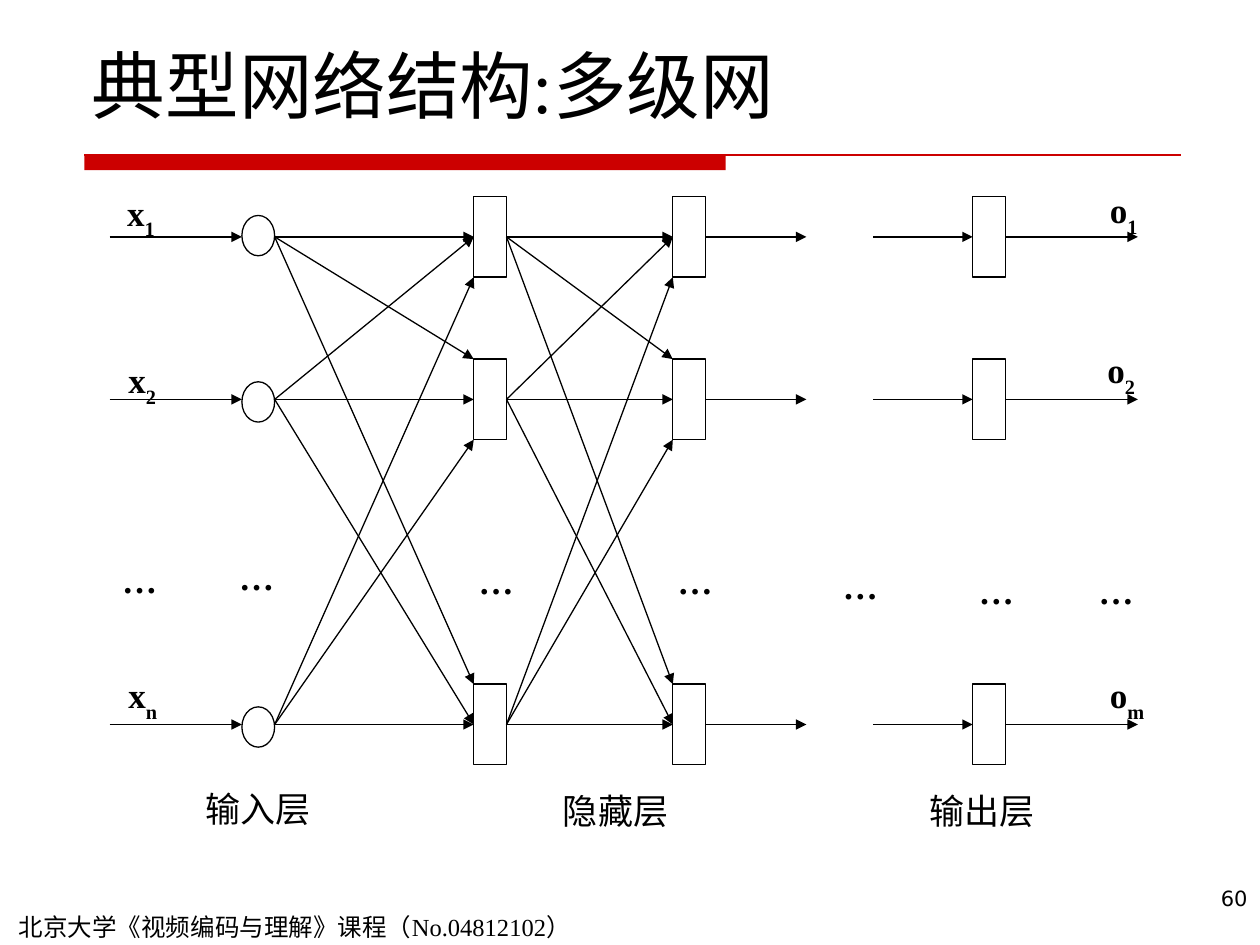
from dataclasses import dataclass
from typing import NamedTuple, Optional

from lxml import etree
from pptx import Presentation
from pptx import util as u
from pptx.dml.color import RGBColor
from pptx.enum import shapes, text
from pptx.oxml.ns import qn

PX = 9144  # EMU per px, at 100 px to the inch
BLACK = RGBColor(0, 0, 0)
WHITE = RGBColor(255, 255, 255)
RED = RGBColor(0xCC, 0, 0)
SERIF, SANS = "Times New Roman", "DejaVu Sans"
LEFT_SIDE, RIGHT_SIDE = 1, 3

NODE_WIDTH, CELL_HEIGHT, INPUT_HEIGHT = 26, 64, 32
ROWS = (188, 317, 575)
INPUT_LEFT, INPUT_TOPS = 192, (171, 303, 561)
HIDDEN_1, HIDDEN_2, OUTPUT = 376, 534, 772


class Point(NamedTuple):
    x: int
    y: int


class Link(NamedTuple):
    """Joins two rows; shift moves the end from the middle of the side to a corner."""
    source: int
    target: int
    shift: int = 0


@dataclass(frozen=True)
class Label:
    words: str
    left: int
    top: int
    width: int
    height: int = 44
    subscript: str = ""
    size: int = 20
    bold: bool = False
    font: str = SERIF
    align: text.PP_ALIGN = text.PP_ALIGN.LEFT
    wrap: bool = False


HALF = CELL_HEIGHT // 2
LINKS = (
    Link(0, 0), Link(1, 1), Link(2, 2),
    Link(0, 1, -HALF), Link(0, 2, -HALF),
    Link(1, 0), Link(1, 2),
    Link(2, 0, HALF), Link(2, 1, HALF),
)

LAYER_NAMES = (
    Label("输出层", 728, 622, 104),
    Label("隐藏层", 437, 622, 104),
    Label("输入层", 153, 620, 104),
)
SIGNALS = tuple(
    Label(name, left, top, width, 50, index, bold=True)
    for name, index, left, top, width in (
        ("o", "1", 871, 145, 42), ("o", "2", 869, 272, 42), ("o", "m", 871, 530, 48),
        ("x", "1", 91, 147, 42), ("x", "2", 92, 280, 42), ("x", "n", 92, 530, 43),
    )
)
ELLIPSES = tuple(
    Label("…", left, top, 48, bold=True)
    for left, top in ((862, 447), (87, 438), (180, 436), (370, 439),
                      (528, 439), (767, 447), (659, 443))
)
FOOTER = Label("北京大学《视频编码与理解》课程（No.04812102）", 5, 719, 495, 34, size=14, wrap=True)
PAGE_NUMBER = Label("60", 786, 698, 214, 52, size=12, font=SANS,
                    align=text.PP_ALIGN.RIGHT, wrap=True)


def format_para(para, size: int, bold: bool, font: str, align: text.PP_ALIGN) -> None:
    para.alignment = align
    para.font.size = u.Pt(size)
    para.font.bold = bold
    para.font.name = font
    para.font.color.rgb = BLACK


def add_label(page, label: Label) -> None:
    box = page.shapes.add_textbox(label.left * PX, label.top * PX,
                                  label.width * PX, label.height * PX)
    box.text_frame.word_wrap = label.wrap
    if not label.wrap:
        box.text_frame.auto_size = text.MSO_AUTO_SIZE.SHAPE_TO_FIT_TEXT
    para = box.text_frame.paragraphs[0]
    para.add_run().text = label.words
    if label.subscript:
        span = para.add_run()
        span.text = label.subscript
        span._r.get_or_add_rPr().set("baseline", "-30000")
    format_para(para, label.size, label.bold, label.font, label.align)


def add_node(page, kind: shapes.MSO_SHAPE, left: int, top: int, height: int):
    node = page.shapes.add_shape(kind, left * PX, top * PX, NODE_WIDTH * PX, height * PX)
    node.shadow.inherit = False
    node.fill.solid()
    node.fill.fore_color.rgb = WHITE
    node.line.color.rgb = BLACK
    node.line.width = u.Pt(0.75)
    return node


def add_cells(page, left: int) -> list:
    return [add_node(page, shapes.MSO_SHAPE.RECTANGLE, left, row - HALF, CELL_HEIGHT)
            for row in ROWS]


def add_line(page, start: Point, end: Point, color: RGBColor):
    line = page.shapes.add_connector(shapes.MSO_CONNECTOR.STRAIGHT, start.x * PX,
                                     start.y * PX, end.x * PX, end.y * PX)
    line.line.color.rgb = color
    line.line.width = u.Pt(0.75)
    etree.SubElement(line._element.spPr, qn("a:effectLst"))
    return line


def add_arrow(page, start: Point, end: Point, source: Optional[object] = None,
              target: Optional[object] = None) -> None:
    """Draws an arrow, joined to the source and target cells where given."""
    arrow = add_line(page, start, end, BLACK)
    etree.SubElement(arrow.line._get_or_add_ln(), qn("a:tailEnd"), type="triangle")
    if source is not None:
        arrow.begin_connect(source, RIGHT_SIDE)
    if target is not None:
        arrow.end_connect(target, LEFT_SIDE)


def add_links(page, start_x: int, end_x: int, targets: list,
              sources: Optional[list] = None) -> None:
    for link in LINKS:
        add_arrow(page, Point(start_x, ROWS[link.source]),
                  Point(end_x, ROWS[link.target] + link.shift),
                  sources[link.source] if sources else None,
                  None if link.shift else targets[link.target])


def add_row_arrows(page, start_x: int, end_x: int, sources: Optional[list] = None,
                   targets: Optional[list] = None) -> None:
    for index, row in enumerate(ROWS):
        add_arrow(page, Point(start_x, row), Point(end_x, row),
                  sources[index] if sources else None,
                  targets[index] if targets else None)


def add_title(page, words: str) -> None:
    title = page.shapes.title
    title.left, title.top, title.width, title.height = (
        side * PX for side in (63, 33, 875, 74))
    title.text_frame.text = words
    title.text_frame.vertical_anchor = text.MSO_ANCHOR.BOTTOM
    format_para(title.text_frame.paragraphs[0], 42, False, SERIF, text.PP_ALIGN.LEFT)


def add_title_rule(page) -> None:
    bar = page.shapes.add_shape(shapes.MSO_SHAPE.RECTANGLE, 67 * PX, 123 * PX,
                                509 * PX, 12 * PX)
    bar.shadow.inherit = False
    bar.fill.solid()
    bar.fill.fore_color.rgb = RED
    bar.line.fill.background()
    add_line(page, Point(67, 123), Point(937, 123), RED)


def add_network(page) -> None:
    for top in INPUT_TOPS:
        add_node(page, shapes.MSO_SHAPE.OVAL, INPUT_LEFT, top, INPUT_HEIGHT)
    first, second, output = (add_cells(page, left) for left in (HIDDEN_1, HIDDEN_2, OUTPUT))
    add_row_arrows(page, 87, INPUT_LEFT)
    add_links(page, INPUT_LEFT + NODE_WIDTH, HIDDEN_1, first)
    add_links(page, HIDDEN_1 + NODE_WIDTH, HIDDEN_2, second, first)
    add_row_arrows(page, HIDDEN_2 + NODE_WIDTH, 640, sources=second)
    add_row_arrows(page, 693, OUTPUT, targets=output)
    add_row_arrows(page, OUTPUT + NODE_WIDTH, 903, sources=output)


def main() -> None:
    deck = Presentation()
    deck.slide_width, deck.slide_height = 1000 * PX, 750 * PX
    page = deck.slides.add_slide(deck.slide_layouts[5])
    add_title_rule(page)
    add_title(page, "典型网络结构:多级网")
    for label in (FOOTER, PAGE_NUMBER, *LAYER_NAMES, *SIGNALS, *ELLIPSES):
        add_label(page, label)
    add_network(page)
    deck.save("out.pptx")


if __name__ == "__main__":
    main()
